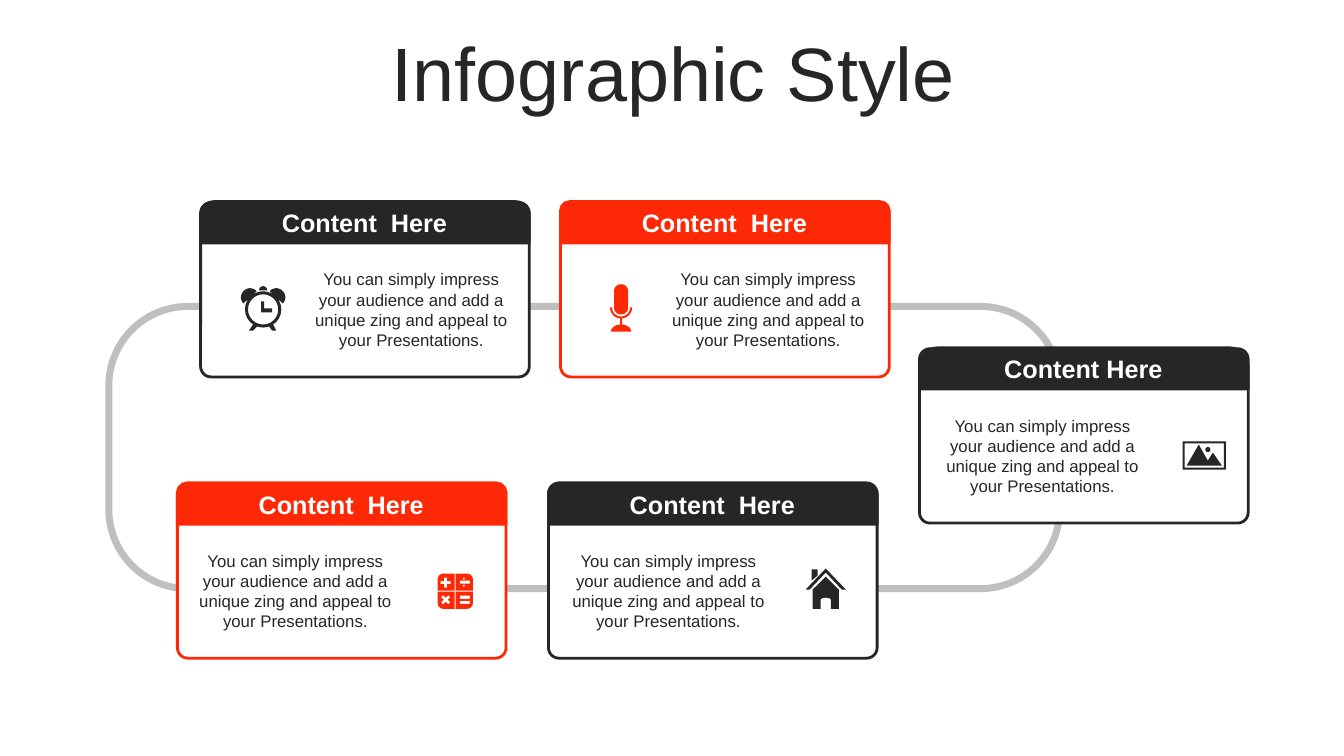
from math import cos, radians, sin

from pptx import Presentation
from pptx.dml.color import RGBColor
from pptx.enum.shapes import MSO_SHAPE
from pptx.enum.text import MSO_ANCHOR, PP_ALIGN
from pptx.util import Inches, Pt

ROUNDED = MSO_SHAPE.ROUNDED_RECTANGLE
TOP_ROUNDED = MSO_SHAPE.ROUND_2_SAME_RECTANGLE
CENTER = PP_ALIGN.CENTER
MIDDLE, TOP = MSO_ANCHOR.MIDDLE, MSO_ANCHOR.TOP
TITLE_ONLY = 5

COLORS = {"dark": "262626", "red": "FD2906", "white": "FFFFFF", "track": "BFBFBF"}
BODY = ("You can simply impress your audience and add a unique zing "
        "and appeal to your Presentations.")
CARD_W, CARD_H, HEADER_H = 3.26, 1.73, 0.41


def color(name):
    """Return the named colour."""
    return RGBColor.from_string(COLORS[name])


def arc(cx, cy, rx, start, end, ry=None):
    """Return points along an arc, with angles in degrees clockwise from the right."""
    ry = rx if ry is None else ry
    angles = [radians(start + (end - start) * i / 24) for i in range(25)]
    return [(cx + rx * cos(a), cy + ry * sin(a)) for a in angles]


def rect(x, y, w, h):
    """Return the corners of a rectangle."""
    return [(x, y), (x + w, y), (x + w, y + h), (x, y + h)]


def plus(cx, cy, turn=0):
    """Return the outline of a plus sign, turned by some degrees."""
    a, b = 0.05, 0.015
    pts = [(-b, -a), (b, -a), (b, -b), (a, -b), (a, b), (b, b),
           (b, a), (-b, a), (-b, b), (-a, b), (-a, -b), (-b, -b)]
    c, s = cos(radians(turn)), sin(radians(turn))
    return [(cx + x * c - y * s, cy + x * s + y * c) for x, y in pts]


def clock():
    """Return the contours of an alarm clock."""
    return [
        arc(0.22, 0.23, 0.18, 0, 360), arc(0.22, 0.23, 0.15, 0, 360),
        [(0.2, 0.15), (0.23, 0.15), (0.23, 0.22), (0.31, 0.22), (0.31, 0.26), (0.2, 0.26)],
        [(0.12, 0.38), (0.16, 0.4), (0.12, 0.44), (0.08, 0.44)],
        [(0.32, 0.38), (0.28, 0.4), (0.31, 0.44), (0.35, 0.44)],
        arc(0.09, 0.11, 0.09, 137, 317), arc(0.35, 0.11, 0.09, 223, 403),
        arc(0.22, 0.04, 0.04, 180, 360),
    ]


def microphone():
    """Return the contours of a microphone."""
    return [
        arc(0.11, 0.07, 0.07, 180, 360) + arc(0.11, 0.23, 0.07, 0, 180),
        arc(0.11, 0.23, 0.11, 0, 180) + arc(0.11, 0.23, 0.09, 180, 0),
        rect(0.1, 0.34, 0.02, 0.06),
        arc(0.11, 0.47, 0.1, 180, 360, 0.07),
    ]


def calculator():
    """Return the contours of a calculator."""
    r, far = 0.06, 0.29
    body = (arc(r, r, r, 180, 270) + arc(far, r, r, 270, 360)
            + arc(far, far, r, 0, 90) + arc(r, far, r, 90, 180))
    gaps = [rect(0.17, 0, 0.01, 0.35), rect(0, 0.17, 0.17, 0.01),
            rect(0.18, 0.17, 0.17, 0.01)]
    bars = [rect(0.22, y, 0.1, 0.03) for y in (0.07, 0.22, 0.27)]
    dots = [arc(0.26, y, 0.01, 0, 360) for y in (0.05, 0.12)]
    return [body, *gaps, plus(0.08, 0.09), plus(0.08, 0.26, 45), *bars, *dots]


def house():
    """Return the contours of a house."""
    return [
        [(0.2, 0), (0.4, 0.21), (0.36, 0.21), (0.2, 0.04), (0.04, 0.21), (0, 0.21)],
        [(0.06, 0.01), (0.12, 0.01), (0.12, 0.07), (0.06, 0.12)],
        [(0.2, 0.08), (0.33, 0.21), (0.33, 0.4), (0.25, 0.4)]
        + arc(0.2, 0.31, 0.05, 0, -180, 0.02)
        + [(0.15, 0.4), (0.07, 0.4), (0.07, 0.21)],
    ]


def landscape():
    """Return the contours of a framed landscape."""
    return [
        rect(0, 0, 0.43, 0.28), rect(0.02, 0.02, 0.39, 0.24),
        [(0.16, 0.03), (0.25, 0.19), (0.3, 0.11), (0.39, 0.24), (0.04, 0.24)],
        arc(0.25, 0.08, 0.025, 0, 360),
    ]


def add_icon(slide, x, y, contours, tint):
    """Draw closed contours as one filled shape from the given corner."""
    contours = [[(px * 1000, py * 1000) for px, py in c] for c in contours]
    builder = slide.shapes.build_freeform(*contours[0][0], scale=914.4)
    for i, contour in enumerate(contours):
        if i:
            builder.move_to(*contour[0])
        builder.add_line_segments(contour[1:], close=True)
    sp = builder.convert_to_shape(Inches(x), Inches(y))
    sp.shadow.inherit = False
    sp.fill.solid()
    sp.fill.fore_color.rgb = color(tint)
    sp.line.fill.background()


def add_box(slide, kind, box, fill, line, width, rounding):
    """Draw a rounded preset shape in the given box."""
    sp = slide.shapes.add_shape(kind, *map(Inches, box))
    sp.shadow.inherit = False
    sp.adjustments[0] = rounding
    sp.fill.solid()
    sp.fill.fore_color.rgb = color(fill)
    sp.line.color.rgb = color(line)
    sp.line.width = Pt(width)


def write(sp, text, size, tint, bold=False, anchor=TOP):
    """Put one centred paragraph in a shape and format it."""
    tf = sp.text_frame
    tf.word_wrap = True
    tf.vertical_anchor = anchor
    tf.text = text
    p = tf.paragraphs[0]
    p.alignment = CENTER
    font = p.runs[0].font
    font.name, font.size, font.bold = "Arial", Pt(size), bold
    font.color.rgb = color(tint)
    return p


def add_title(slide, box, text):
    """Place the title placeholder in its box."""
    sp = slide.shapes.title
    sp.left, sp.top, sp.width, sp.height = map(Inches, box)
    p = write(sp, text, 54, "dark", anchor=MIDDLE)
    p.line_spacing = 0.9


def add_card(slide, x, y, heading, tint, rounding, text_dx, icon, icon_dx, icon_dy):
    """Draw a card with header, body text and icon from its top left corner."""
    add_box(slide, ROUNDED, (x, y + 0.01, CARD_W, CARD_H), "white", tint, 2, 0.06)
    add_box(slide, TOP_ROUNDED, (x, y, CARD_W, HEADER_H), tint, tint, 2, rounding)
    body = slide.shapes.add_textbox(*map(Inches, (x + text_dx, y + 0.62, 2.12, 0.91)))
    write(body, BODY, 12, "dark")
    head = slide.shapes.add_textbox(*map(Inches, (x + 0.15, y + 0.01, 2.95, 0.4)))
    write(head, heading, 18, "white", True, MIDDLE)
    add_icon(slide, x + icon_dx, y + icon_dy, icon, tint)


def main():
    """Build and save the slide."""
    prs = Presentation()
    prs.slide_width, prs.slide_height = Inches(13.33), Inches(7.5)
    slide = prs.slides.add_slide(prs.slide_layouts[TITLE_ONLY])
    add_title(slide, (0.35, 0.37, 12.66, 0.79), "Infographic Style")
    add_box(slide, ROUNDED, (1.08, 3.04, 9.43, 2.8), "white", "track", 5, 0.28)
    cards = [
        (1.99, 2, "Content  Here", "dark", 0.33, 1.03, clock(), 0.4, 0.84),
        (5.56, 2, "Content  Here", "red", 0.22, 1, microphone(), 0.49, 0.82),
        (9.12, 3.45, "Content Here", "dark", 0.45, 0.16, landscape(), 2.61, 0.93),
        (5.44, 4.79, "Content  Here", "dark", 0.26, 0.13, house(), 2.55, 0.85),
        (1.76, 4.79, "Content  Here", "red", 0.24, 0.11, calculator(), 2.58, 0.9),
    ]
    for card in cards:
        add_card(slide, *card)
    prs.save("out.pptx")


if __name__ == "__main__":
    main()
